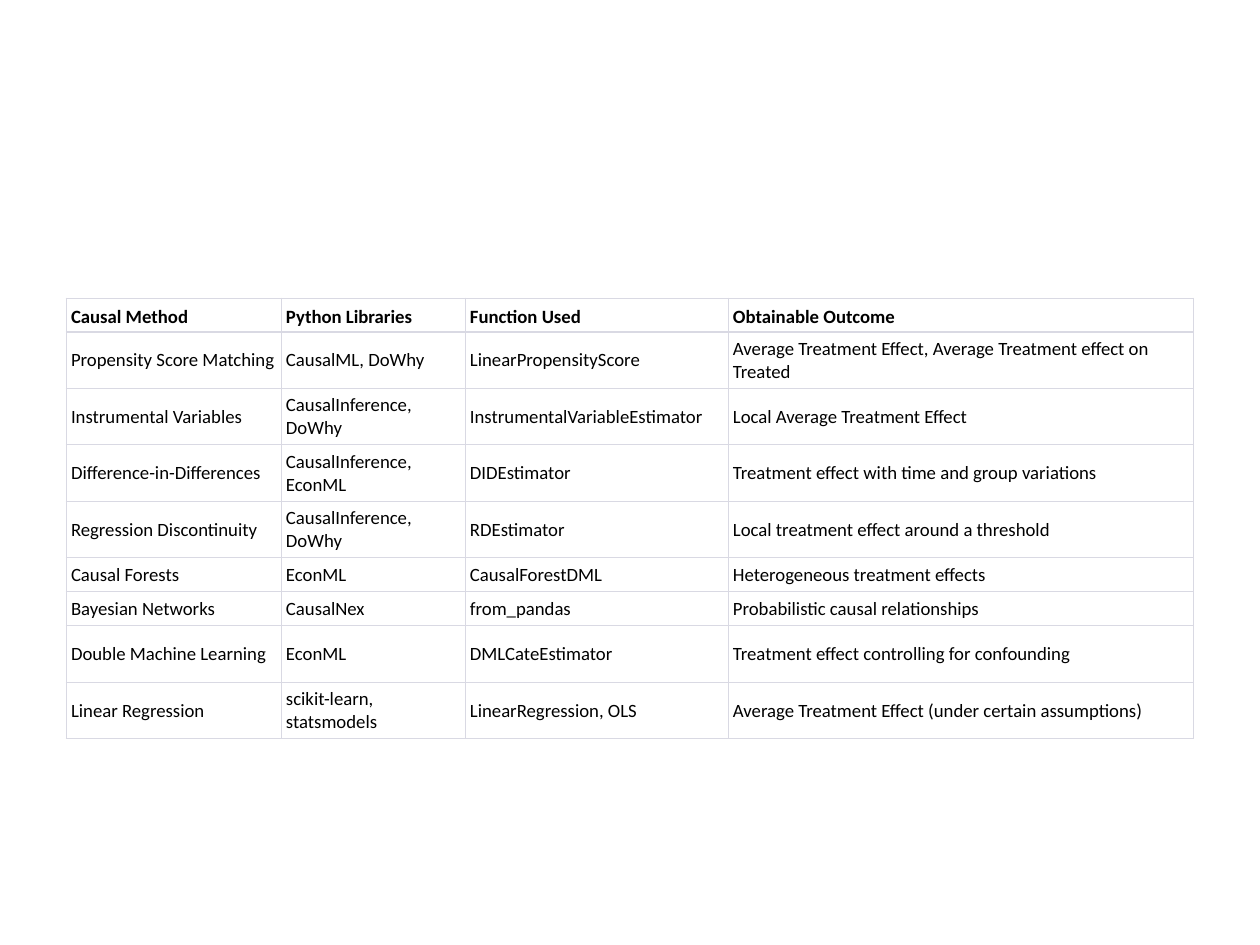
from lxml import etree
from pptx import Presentation
from pptx.dml.color import RGBColor
from pptx.enum.text import MSO_ANCHOR
from pptx.oxml.ns import qn
from pptx.util import Emu, Pt

BOTTOM, MIDDLE = MSO_ANCHOR.BOTTOM, MSO_ANCHOR.MIDDLE
PX = 914400 // 90
COLUMN_WIDTHS = [215, 184, 263, 465]
ROW_HEIGHTS = [34, 57, 56, 57, 56, 34, 34, 57, 56]
METHODS = [
    ("Causal Method", "Python Libraries", "Function Used", "Obtainable Outcome"),
    ("Propensity Score Matching", "CausalML, DoWhy", "LinearPropensityScore",
     "Average Treatment Effect, Average Treatment effect on Treated"),
    ("Instrumental Variables", "CausalInference, DoWhy", "InstrumentalVariableEstimator",
     "Local Average Treatment Effect"),
    ("Difference-in-Differences", "CausalInference, EconML", "DIDEstimator",
     "Treatment effect with time and group variations"),
    ("Regression Discontinuity", "CausalInference, DoWhy", "RDEstimator",
     "Local treatment effect around a threshold"),
    ("Causal Forests", "EconML", "CausalForestDML", "Heterogeneous treatment effects"),
    ("Bayesian Networks", "CausalNex", "from_pandas", "Probabilistic causal relationships"),
    ("Double Machine Learning", "EconML", "DMLCateEstimator",
     "Treatment effect controlling for confounding"),
    ("Linear Regression", "scikit-learn, statsmodels", "LinearRegression, OLS",
     "Average Treatment Effect (under certain assumptions)"),
]


def px(count):
    return Emu(count * PX)


def color(hex_code):
    return RGBColor.from_string(hex_code)


def write_text(frame, text, font="Calibri", size=15, ink="000000", bold=False):
    span = frame.paragraphs[0].add_run()
    span.text = text
    span.font.name = font
    span.font.size = Pt(size)
    span.font.bold = bold
    span.font.color.rgb = color(ink)


class SlideBuilder:
    border = "D9D9E3"
    outer_line = 0.75
    inner_line = 1

    def __init__(self, page):
        self.page = page

    def add_borders(self, cell, top, bottom):
        properties = cell._tc.get_or_add_tcPr()
        widths = {"lnL": self.outer_line, "lnR": self.outer_line, "lnT": top, "lnB": bottom}
        for side, width in widths.items():
            line = etree.SubElement(properties, qn(f"a:{side}"), w=str(Pt(width)))
            fill = etree.SubElement(line, qn("a:solidFill"))
            etree.SubElement(fill, qn("a:srgbClr"), val=self.border)

    def add_table(self, left, top, widths, heights, rows):
        frame = self.page.shapes.add_table(
            len(rows), len(widths), px(left), px(top), px(sum(widths)), px(sum(heights)))
        table = frame.table
        table.first_row = table.horz_banding = False
        for column, width in zip(table.columns, widths):
            column.width = px(width)
        for row, height in zip(table.rows, heights):
            row.height = px(height)
        last = len(rows) - 1
        for row_index, texts in enumerate(rows):
            header = row_index == 0
            top_line = self.outer_line if header else self.inner_line
            bottom_line = self.outer_line if row_index == last else self.inner_line
            for column_index, text in enumerate(texts):
                cell = table.cell(row_index, column_index)
                cell.margin_left = cell.margin_right = px(5)
                cell.margin_top = cell.margin_bottom = px(3)
                cell.vertical_anchor = BOTTOM if header else MIDDLE
                self.add_borders(cell, top_line, bottom_line)
                cell.fill.background()
                write_text(cell.text_frame, text, bold=header)


def main():
    deck = Presentation()
    deck.slide_width, deck.slide_height = px(1260), px(945)
    builder = SlideBuilder(deck.slides.add_slide(deck.slide_layouts[6]))
    builder.add_table(66, 298, COLUMN_WIDTHS, ROW_HEIGHTS, METHODS)
    deck.save("out.pptx")


if __name__ == "__main__":
    main()
